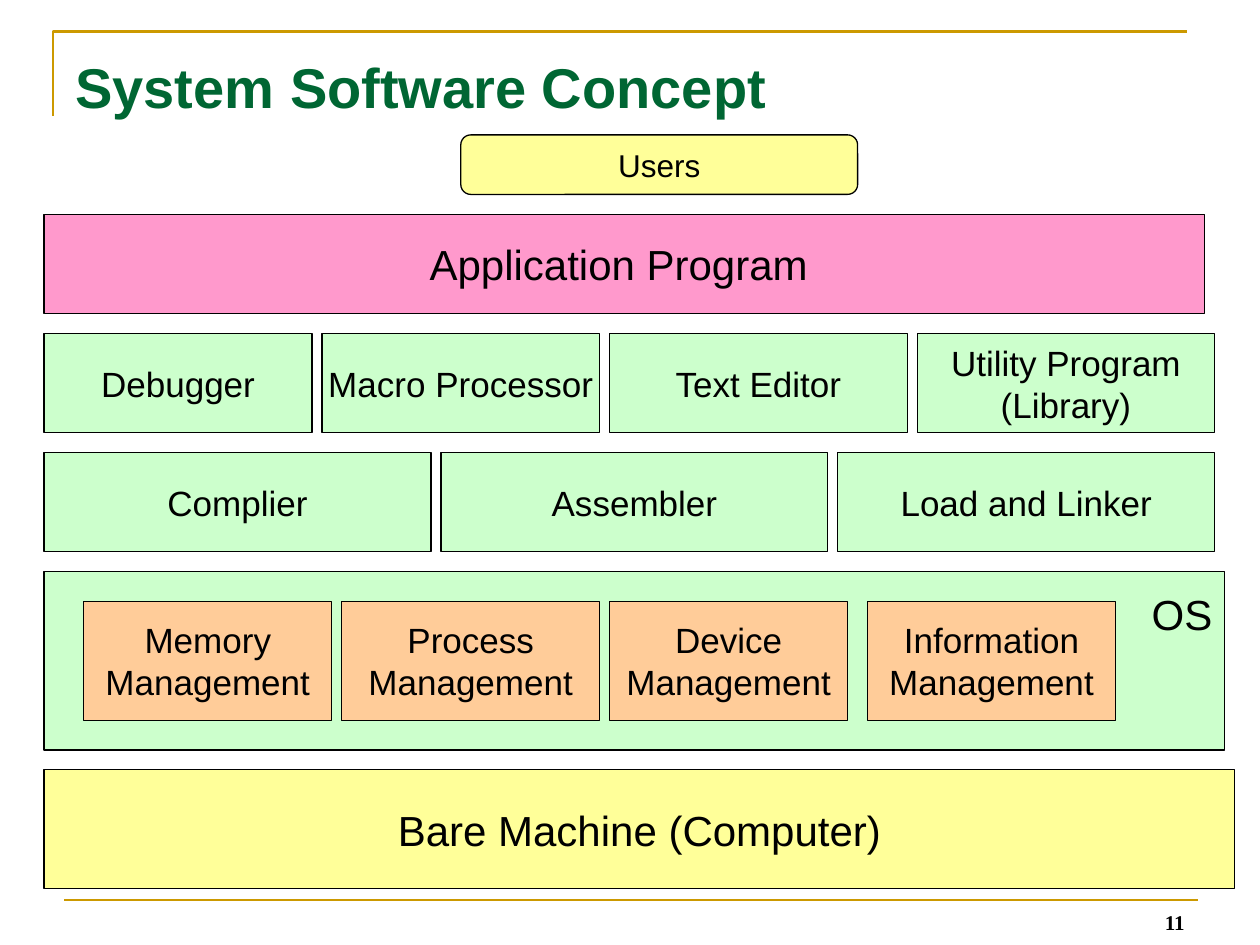
import pptx
import pptx.util
import pptx.dml.color
import pptx.enum.shapes
import pptx.enum.text
import pptx.oxml

Cm = pptx.util.Cm
SHAPE = pptx.enum.shapes.MSO_SHAPE
ALIGN = pptx.enum.text.PP_ALIGN
ANCHOR = pptx.enum.text.MSO_ANCHOR

COLORS = {
    "gold": "CC9900", "title": "006633", "text": "000000", "yellow": "FFFF99",
    "green": "CCFFCC", "pink": "FF99CC", "orange": "FFCC99",
}
LEFT, GAP, ROW_GAP = 0.89, 0.2, 0.4


def rgb(name):
    """Return the named colour."""
    return pptx.dml.color.RGBColor.from_string(COLORS[name])


def set_text(sp, text, size=20, color="text", font="Arial", bold=False,
             align=ALIGN.CENTER, anchor=ANCHOR.MIDDLE, wrap=False, top=0.13):
    """Write one formatted paragraph into a shape."""
    tf = sp.text_frame
    tf.word_wrap = wrap
    tf.vertical_anchor = anchor
    tf.margin_top = Cm(top)
    p = tf.paragraphs[0]
    p.alignment = align
    r = p.add_run()
    r.text = text
    r.font.name = font
    r.font.size = pptx.util.Pt(size)
    r.font.bold = bold
    r.font.color.rgb = rgb(color)


def add_box(s, x, y, w, h, text, fill, kind=SHAPE.RECTANGLE, **fmt):
    """Add a filled, outlined box with text."""
    sp = s.shapes.add_shape(kind, Cm(x), Cm(y), Cm(w), Cm(h))
    sp.shadow.inherit = False
    sp.fill.solid()
    sp.fill.fore_color.rgb = rgb(fill)
    sp.line.color.rgb = rgb("text")
    sp.line.width = pptx.util.Pt(0.75)
    set_text(sp, text, **fmt)


def add_row(s, x, y, h, fill, cells):
    """Lay out (text, width, gap after, wrap) cells from left to right."""
    for text, w, gap, wrap in cells:
        add_box(s, x, y, w, h, text, fill, wrap=wrap)
        x += w + gap


def add_label(s, x, y, w, h, text, **fmt):
    """Add a text box."""
    sp = s.shapes.add_textbox(Cm(x), Cm(y), Cm(w), Cm(h))
    set_text(sp, text, wrap=True, **fmt)


def add_header(s, x, y, w, h):
    """Add the corner rule and the title."""
    fb = s.shapes.build_freeform(Cm(x), Cm(y + h))
    fb.add_line_segments([(Cm(x), Cm(y)), (Cm(x + w), Cm(y))], close=False)
    sp = fb.convert_to_shape()
    sp.shadow.inherit = False
    sp.fill.background()
    sp.line.color.rgb = rgb("gold")
    sp.line.width = pptx.util.Pt(1.5)
    add_label(s, x + 0.2, y + 0.13, w, 1.96, "System Software Concept",
              size=32, color="title", bold=True, align=ALIGN.LEFT)


def add_footer(s, x, y, w):
    """Add the bottom rule and the page number."""
    sp = s.shapes.add_connector(pptx.enum.shapes.MSO_CONNECTOR.STRAIGHT,
                                Cm(x), Cm(y), Cm(x + w), Cm(y))
    sp.line.color.rgb = rgb("gold")
    sp.line.width = pptx.util.Pt(1.5)
    sp._element.spPr.append(pptx.oxml.parse_xml(
        '<a:effectLst xmlns:a="http://schemas.openxmlformats.org/drawingml/2006/main"/>'))
    add_label(s, x + 16.91, y - 0.08, 5.92, 0.91, "11", size=12, bold=True,
              font="Times New Roman", align=ALIGN.RIGHT, anchor=ANCHOR.BOTTOM)


def add_os(s, x, y, w, h):
    """Add the operating system layer and its managers."""
    add_box(s, x, y, w, h, "OS", "green", size=24, align=ALIGN.RIGHT,
            anchor=ANCHOR.TOP, top=0.34)
    add_row(s, x + 0.8, y + 0.6, h - 1.2, "orange", [
        ("Memory Management", 5, GAP, True),
        ("Process Management", 5.2, GAP, True),
        ("Device Management", 4.8, 2 * GAP, True),
        ("Information Management", 5, 0, True),
    ])


def add_layers(s, x, y):
    """Stack the layers from the users down to the machine."""
    add_box(s, x + 8.4, y, 8, 1.2, "Users", "yellow",
            kind=SHAPE.ROUNDED_RECTANGLE, size=18)
    y += 1.2 + ROW_GAP
    add_box(s, x, y, 23.4, 2, "Application Program ", "pink", size=24)
    y += 2 + ROW_GAP
    add_row(s, x, y, 2, "green", [
        ("Debugger", 5.4, GAP, False),
        ("Macro Processor", 5.6, GAP, False),
        ("Text Editor", 6, GAP, False),
        ("Utility Program (Library)", 6, 0, True),
    ])
    y += 2 + ROW_GAP
    add_row(s, x, y, 2, "green", [
        ("Complier", 7.8, GAP, False),
        ("Assembler", 7.8, GAP, False),
        ("Load and Linker", 7.6, 0, False),
    ])
    y += 2 + ROW_GAP
    add_os(s, x, y, 23.8, 3.6)
    y += 3.6 + ROW_GAP
    add_box(s, x, y, 24, 2.4, "Bare Machine (Computer)", "yellow", size=24)


def main():
    """Build and save the slide."""
    prs = pptx.Presentation()
    prs.slide_width, prs.slide_height = Cm(25.4), Cm(19.05)
    s = prs.slides.add_slide(prs.slide_layouts[6])
    add_header(s, 1.07, 0.63, 22.86, 1.7)
    add_footer(s, 1.3, 18.14, 22.86)
    add_layers(s, LEFT, 2.72)
    prs.save("out.pptx")


if __name__ == "__main__":
    main()
